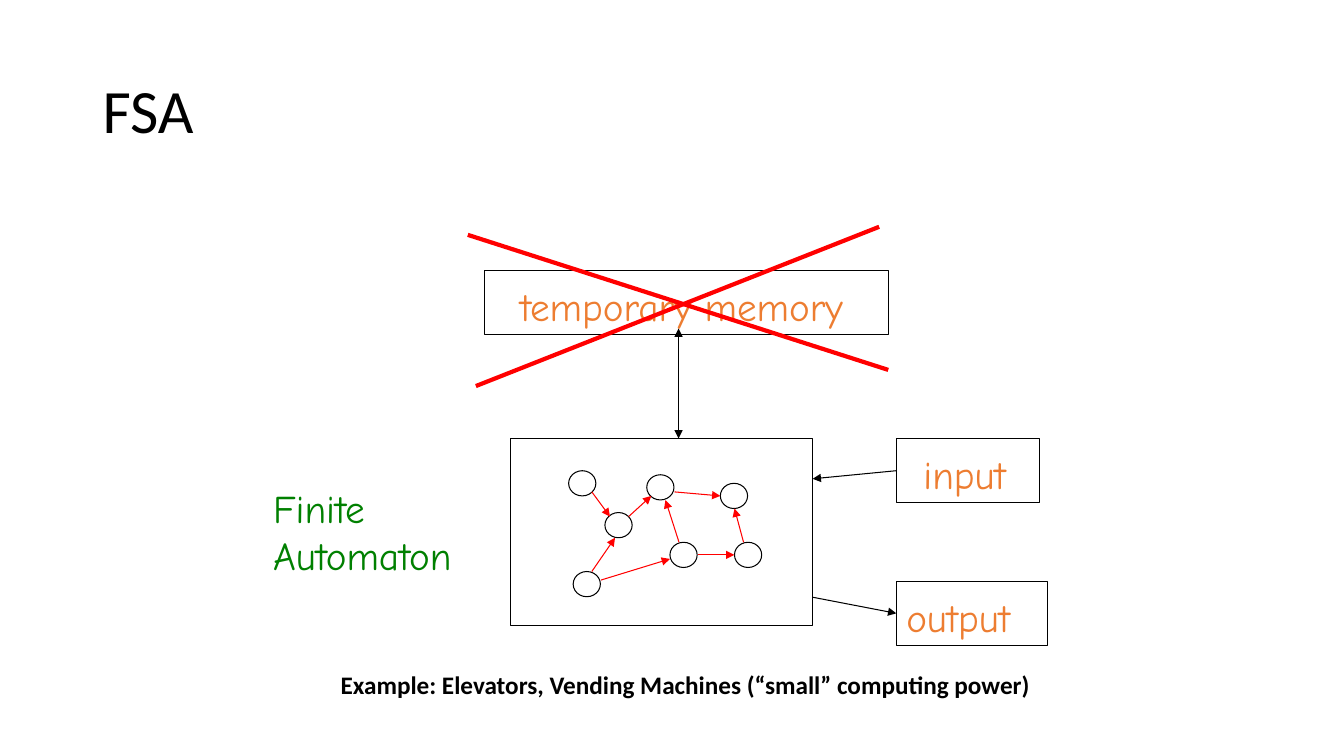
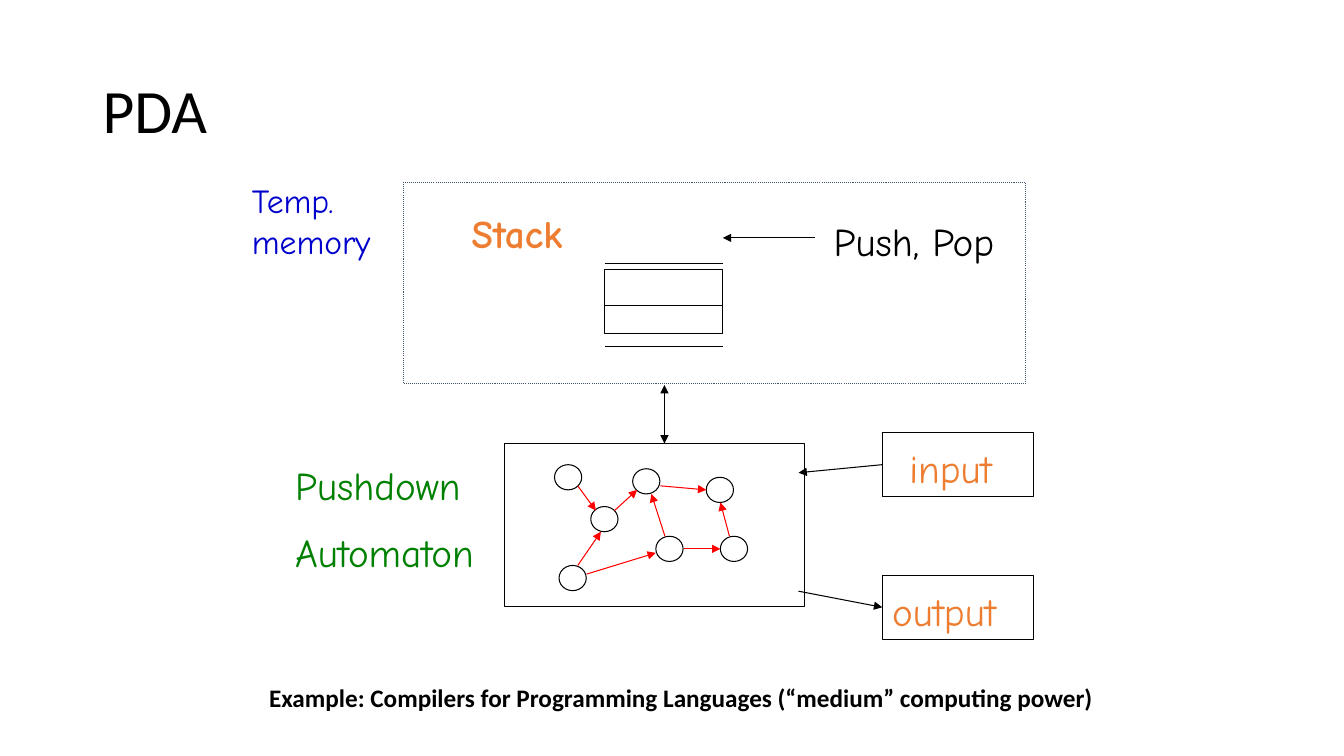
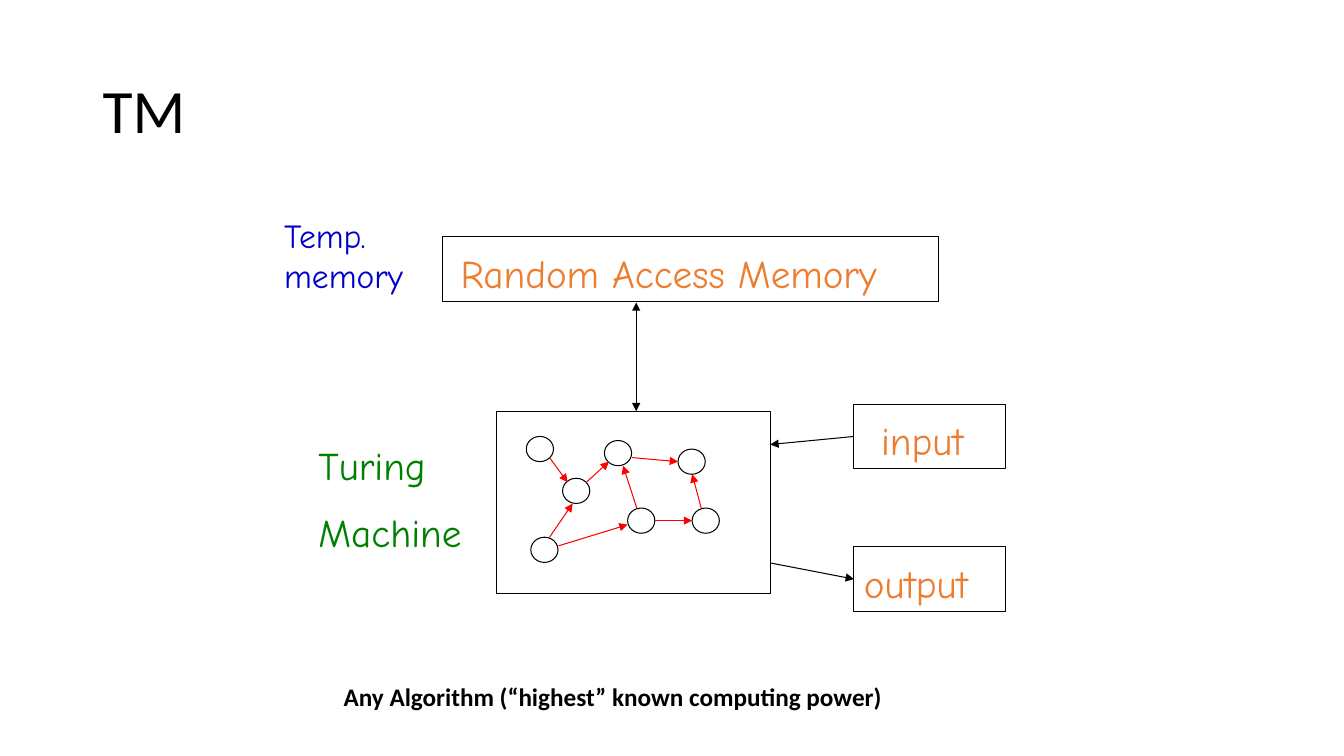
from pptx import Presentation
from pptx import util as u
from pptx.dml import color as colors
from pptx.enum import dml, shapes, text
from pptx.oxml import ns
from lxml import etree

CELL = u.Inches(0.1)
BLACK, RED, ORANGE, GREEN, BLUE, SLATE = (
    "000000", "FF0000", "ED7D31", "008000", "0000CC", "44546A")
HAND, PLAIN = "Comic Neue", "Calibri"
BOX_HEIGHT, LABEL_HEIGHT = 6.4, 5.7
NODE_WIDTH, NODE_HEIGHT = 2.7, 2.5
NODES = [(0, 0), (3.6, 4.15), (7.75, 0.4), (10.05, 7.1),
         (15.05, 1.25), (0.45, 10), (16.45, 7.1)]
EDGES = [
    ((2.3, 2.1), (4.1, 4.55)),
    ((5.95, 4.55), (8.2, 2.5)),
    ((10.5, 2.1), (15.05, 2.5)),
    ((10.95, 7.1), (9.6, 2.9)),
    ((2.3, 10), (4.6, 6.65)),
    ((3.2, 10.85), (10.05, 8.75)),
    ((12.8, 8.35), (16.45, 8.35)),
    ((17.35, 7.1), (16.45, 3.75)),
]


def cells(*lengths):
    return [round(length * CELL) for length in lengths]


def rgb(value):
    return colors.RGBColor.from_string(value)


def add_text(slide, box, content, size=28, color=ORANGE, font=HAND, bold=False,
             gap=0, spacing=None, anchor=text.MSO_ANCHOR.TOP):
    frame = slide.shapes.add_textbox(*cells(*box)).text_frame
    frame.word_wrap = True
    frame.vertical_anchor = anchor
    for index, line in enumerate(content.split("\n")):
        paragraph = frame.paragraphs[0] if index == 0 else frame.add_paragraph()
        if index:
            paragraph.space_before = u.Pt(gap)
        if spacing:
            paragraph.line_spacing = spacing
        run = paragraph.add_run()
        run.text = line
        run.font.size = u.Pt(size)
        run.font.name = font
        run.font.bold = bold
        run.font.color.rgb = rgb(color)


def add_outline(parent, box, kind=shapes.MSO_SHAPE.RECTANGLE, color=BLACK, dash=None):
    shape = parent.shapes.add_shape(kind, *cells(*box))
    shape.shadow.inherit = False
    shape.fill.background()
    shape.line.color.rgb = rgb(color)
    shape.line.width = u.Pt(0.75)
    if dash:
        shape.line.dash_style = dash
    return shape


def add_line(parent, start, end, color=BLACK, width=0.75, arrows=()):
    connector = parent.shapes.add_connector(
        shapes.MSO_CONNECTOR.STRAIGHT, *cells(*start, *end))
    connector.line.color.rgb = rgb(color)
    connector.line.width = u.Pt(width)
    properties = connector.element.spPr
    outline = properties.find(ns.qn("a:ln"))
    for name in arrows:
        etree.SubElement(outline, ns.qn(f"a:{name}"), type="triangle")
    etree.SubElement(properties, ns.qn("a:effectLst"))
    return connector


def add_network(slide, left, top):
    group = slide.shapes.add_group_shape()
    for x, y in NODES:
        add_outline(group, (left + x, top + y, NODE_WIDTH, NODE_HEIGHT),
                    shapes.MSO_SHAPE.OVAL)
    for (x1, y1), (x2, y2) in EDGES:
        add_line(group, (left + x1, top + y1), (left + x2, top + y2),
                 RED, arrows=["tailEnd"])


def add_machine(slide, left, top, control, memory_bottom, name, name_box,
                name_gap=14, input_width=15):
    output_top = top + 14.15
    middle = BOX_HEIGHT / 2
    input_box = add_outline(slide, (left, top, input_width, BOX_HEIGHT))
    output_box = add_outline(slide, (left, output_top, 15, BOX_HEIGHT))
    add_text(slide, (left + 1.7, top + 0.7, 11.1, LABEL_HEIGHT), "input")
    add_text(slide, (left, output_top + 0.7, 13.9, LABEL_HEIGHT), "output")

    port = left - 8.3
    reading = add_line(slide, (left, top + middle), (port, top + middle + 0.8),
                       arrows=["tailEnd"])
    reading.begin_connect(input_box, 1)
    writing = add_line(slide, (port, output_top + middle - 1.6),
                       (left, output_top + middle), arrows=["tailEnd"])
    writing.end_connect(output_box, 1)

    add_outline(slide, control)
    axis = left - 21.6
    add_line(slide, (axis, memory_bottom), (axis, control[1]),
             arrows=["headEnd", "tailEnd"])
    add_network(slide, left - 32.5, top + 3.2)
    add_text(slide, name_box, name, color=GREEN, gap=name_gap)


def add_memory(slide, box, label, inset, width):
    left, top, _, _ = box
    add_outline(slide, box)
    add_text(slide, (left + inset, top + 0.7, width, LABEL_HEIGHT), label)


def add_memory_note(slide, left, top):
    add_text(slide, (left, top, 14.2, 9.1), "Temp.\nmemory", size=24, color=BLUE)


def add_cross(slide, left, top):
    add_line(slide, (left, top + 0.8), (left + 41.7, top + 14.2), RED, 3)
    add_line(slide, (left + 0.8, top + 15.8), (left + 40.8, top), RED, 3)


def add_stack(slide, left, top, width, height):
    add_outline(slide, (left, top, width, height), color=SLATE,
                dash=dml.MSO_LINE.ROUND_DOT)
    add_text(slide, (left + 5.8, top + 2.2, 12.8, LABEL_HEIGHT), "Stack", bold=True)
    stack_left, stack_right = left + 20, left + 31.7
    add_outline(slide, (stack_left, top + 8.6, stack_right - stack_left, BOX_HEIGHT))
    for offset in (8, 12.2, 16.3):
        add_line(slide, (stack_left, top + offset), (stack_right, top + offset))
    add_line(slide, (left + 40.8, top + 5.5), (stack_right, top + 5.5),
             arrows=["tailEnd"])
    add_text(slide, (left + 41.7, top + 3, 18.6, LABEL_HEIGHT), "Push, Pop",
             color=BLACK)


def add_slide(presentation, title, caption, caption_box):
    slide = presentation.slides.add_slide(presentation.slide_layouts[6])
    add_text(slide, (9.2, 4, 115, 14.5), title, size=44, color=BLACK, font=PLAIN,
             spacing=0.9, anchor=text.MSO_ANCHOR.MIDDLE)
    add_text(slide, (*caption_box, 4), caption, size=18, color=BLACK, font=PLAIN,
             bold=True)
    return slide


def add_finite_automaton(presentation):
    slide = add_slide(presentation, "FSA",
                      "Example: Elevators, Vending Machines (“small” computing power)",
                      (32.8, 65.9, 72.8))
    add_memory(slide, (48.1, 26.8, 40, BOX_HEIGHT), "temporary memory", 2.5, 36.2)
    add_machine(slide, 88.9, 43.5, (50.6, 43.5, 30, 18.6), 32.6,
                "Finite Automaton", (26.1, 47.6, 23.3, 10.3), input_width=14.2)
    add_cross(slide, 46.4, 22.5)


def add_pushdown_automaton(presentation):
    slide = add_slide(presentation, "PDA",
                      "Example: Compilers for Programming Languages (“medium” computing power)",
                      (25.7, 67.2, 84.3))
    add_stack(slide, 40, 18.1, 61.7, 20)
    add_memory_note(slide, 24, 17.4)
    add_machine(slide, 87.5, 42.9, (50, 44, 29.8, 16.2), 38.2,
                "Pushdown\nAutomaton", (28.3, 45.3, 21.7, 12.7))


def add_turing_machine(presentation):
    slide = add_slide(presentation, "TM",
                      "Any Algorithm (“highest” known computing power)",
                      (33.1, 67.1, 66.7))
    add_memory(slide, (43.9, 23.5, 49.2, BOX_HEIGHT), "Random Access Memory", 0.8, 46.7)
    add_memory_note(slide, 27.2, 20.8)
    add_machine(slide, 84.7, 40.1, (49.2, 40.8, 27.2, 18.1), 30,
                "Turing\nMachine", (30.6, 43.3, 16.9, 12.7))


def main():
    presentation = Presentation()
    presentation.slide_width = u.Inches(13.33)
    presentation.slide_height = u.Inches(7.5)
    add_finite_automaton(presentation)
    add_pushdown_automaton(presentation)
    add_turing_machine(presentation)
    presentation.save("out.pptx")


if __name__ == "__main__":
    main()
